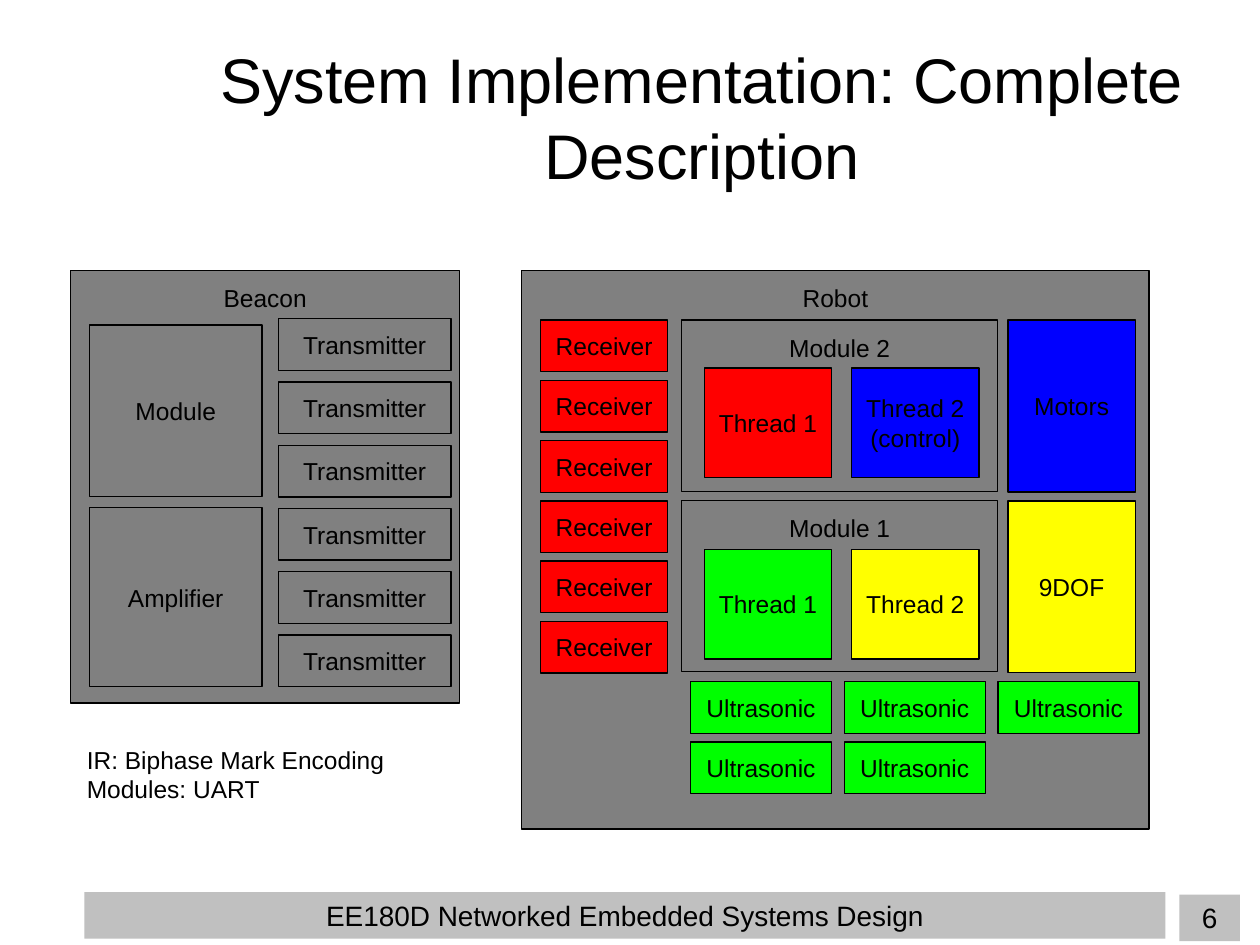
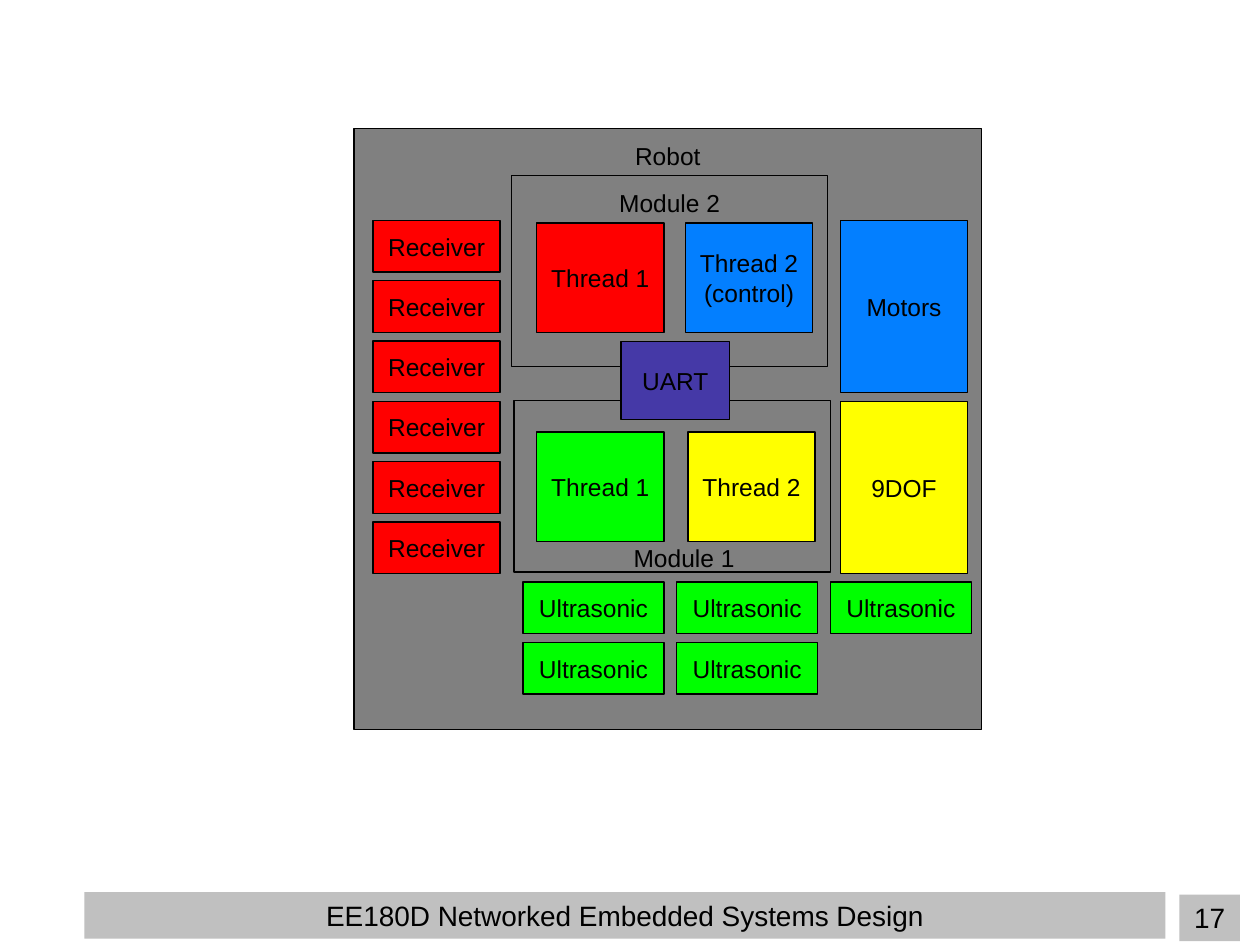
"""Build two block-diagram slides of a beacon and robot system."""
from pptx import Presentation
from pptx.dml.color import RGBColor
from pptx.enum.shapes import MSO_SHAPE
from pptx.enum.text import MSO_ANCHOR, PP_ALIGN
from pptx.util import Inches, Pt

WIDTH, HEIGHT = 10, 7.5
FONT = "Arial"
BLACK, GRAY, BAND = "000000", "808080", "C0C0C0"
RED, GREEN, YELLOW = "FF0000", "00FF00", "FFFF00"
BLUE, SKY, PURPLE = "0000FF", "037FFF", "4539A7"

TITLE = "System Implementation: Complete Description"
FOOTER = "EE180D Networked Embedded Systems Design"
NOTES = "IR: Biphase Mark Encoding\nModules: UART"
BEACON_PARTS = [("Module", 2.58, 1.36), ("Amplifier", 4.03, 1.42)]
TRANSMITTERS, TRANSMITTER_PITCH = 6, 2.51 / 5

ROBOT_ROWS = 6
ROW_PITCH = 2.87 / ROBOT_ROWS
ROW_GAP, CELL_HEIGHT = 0.07, 0.41
UNIT_WIDTH, MODULE_WIDTH, THREAD_HEIGHT = 1.01, 2.51, 0.87
SENSOR_LEFT, SENSOR_PITCH, SENSOR_WIDTH = 1.19, 1.22, 1.12
SENSOR_CELLS = [(0, 0), (1, 0), (2, 0), (0, 1), (1, 1)]
SIDE_LEFT = 3.71

COMPLETE_ROBOT = {
    "origin": (4.29, 2.54), "panel": (-0.39, 4.43), "control": BLUE,
    "modules": [("Module 2", 1.12, 0, 1.36), ("Module 1", 1.12, 1.43, 1.36)],
    "threads": [("Thread 1", 1.3, 0.38, RED), ("Thread 2\n(control)", 2.47, 0.38, BLUE),
                ("Thread 1", 1.3, 1.82, GREEN), ("Thread 2", 2.47, 1.82, YELLOW)],
}
LINKED_ROBOT = {
    "origin": (2.96, 1.75), "panel": (-0.73, 4.77), "control": SKY,
    "modules": [("Module 2", 1.1, -0.36, 1.52), ("", 1.12, 1.43, 1.36)],
    "threads": [("Thread 1", 1.3, 0.02, RED), ("Thread 2\n(control)", 2.48, 0.02, SKY),
                ("Thread 1", 1.3, 1.68, GREEN), ("Thread 2", 2.5, 1.68, YELLOW)],
}


def color(value):
    """Turn a hex string into a colour."""
    return RGBColor.from_string(value)


def write(box, text, size, align, anchor, inset=0.1):
    """Fill a box with evenly formatted text."""
    frame = box.text_frame
    frame.word_wrap = True
    frame.vertical_anchor = anchor
    frame.margin_left = frame.margin_right = Inches(0.1)
    frame.margin_top = frame.margin_bottom = Inches(inset)
    frame.text = text
    for para in frame.paragraphs:
        para.alignment = align
        for span in para.runs:
            span.font.name, span.font.size = FONT, Pt(size)
            span.font.color.rgb = color(BLACK)


def add_label(page, text, area, size=14, align=PP_ALIGN.LEFT, anchor=MSO_ANCHOR.TOP):
    """Add a text box without fill."""
    box = page.shapes.add_textbox(*map(Inches, area))
    write(box, text, size, align, anchor)


def add_rectangle(page, area, fill):
    """Add a flat rectangle."""
    box = page.shapes.add_shape(MSO_SHAPE.RECTANGLE, *map(Inches, area))
    box.shadow.inherit = False
    box.fill.solid()
    box.fill.fore_color.rgb = color(fill)
    return box


def add_block(page, text, area, fill=GRAY, anchor=MSO_ANCHOR.MIDDLE):
    """Add an outlined diagram block."""
    box = add_rectangle(page, area, fill)
    box.line.color.rgb = color(BLACK)
    box.line.width = Pt(0.75)
    write(box, text, 14, PP_ALIGN.CENTER, anchor)


def add_page(deck, number):
    """Add a blank page with its footer bands."""
    page = deck.slides.add_slide(deck.slide_layouts[6])
    for text, area in [(str(number), (9.36, 7.1, 0.48, 0.37)), (FOOTER, (0.67, 7.08, 8.58, 0.37))]:
        band = add_rectangle(page, area, BAND)
        band.line.fill.background()
        write(band, text, 16, PP_ALIGN.CENTER, MSO_ANCHOR.TOP, 0.05)
    return page


def draw_beacon(page):
    """Draw the beacon with its transmitters."""
    add_block(page, "Beacon", (0.56, 2.15, 3.09, 3.43), anchor=MSO_ANCHOR.TOP)
    for row in range(TRANSMITTERS):
        add_block(page, "Transmitter", (2.21, 2.53 + row * TRANSMITTER_PITCH, 1.37, CELL_HEIGHT))
    for name, top, height in BEACON_PARTS:
        add_block(page, name, (0.71, top, 1.37, height))


def draw_robot(page, robot):
    """Draw the robot, placing every part relative to its first receiver."""
    left, top = robot["origin"]

    def place(text, x, y, width, height, fill=GRAY, anchor=MSO_ANCHOR.MIDDLE):
        add_block(page, text, (left + x, top + y, width, height), fill, anchor)

    panel_top, panel_height = robot["panel"]
    place("Robot", -0.15, panel_top, 4.98, panel_height, anchor=MSO_ANCHOR.TOP)
    for row in range(ROBOT_ROWS):
        place("Receiver", 0, row * ROW_PITCH, UNIT_WIDTH, CELL_HEIGHT, RED)
    for name, x, y, height in robot["modules"]:
        place(name, x, y, MODULE_WIDTH, height, anchor=MSO_ANCHOR.TOP)
    for name, x, y, fill in robot["threads"]:
        place(name, x, y, UNIT_WIDTH, THREAD_HEIGHT, fill)
    for column, row in SENSOR_CELLS:
        place("Ultrasonic", SENSOR_LEFT + column * SENSOR_PITCH,
              (ROBOT_ROWS + row) * ROW_PITCH, SENSOR_WIDTH, CELL_HEIGHT, GREEN)
    for name, row, fill in [("Motors", 0, robot["control"]), ("9DOF", 3, YELLOW)]:
        place(name, SIDE_LEFT, row * ROW_PITCH, UNIT_WIDTH, 3 * ROW_PITCH - ROW_GAP, fill)


def main():
    """Build and save the deck."""
    deck = Presentation()
    deck.slide_width, deck.slide_height = Inches(WIDTH), Inches(HEIGHT)

    page = add_page(deck, 6)
    add_label(page, TITLE, (1.64, 0.3, 7.86, 1.25), 36, PP_ALIGN.CENTER, MSO_ANCHOR.MIDDLE)
    draw_robot(page, COMPLETE_ROBOT)
    draw_beacon(page)
    add_label(page, NOTES, (0.59, 5.81, 3.19, 0.77))

    page = add_page(deck, 17)
    draw_robot(page, LINKED_ROBOT)
    add_label(page, "Module 1", (4.93, 4.21, UNIT_WIDTH, CELL_HEIGHT))
    add_block(page, "UART", (4.93, 2.71, 0.86, 0.62), PURPLE)

    deck.save("out.pptx")


if __name__ == "__main__":
    main()
